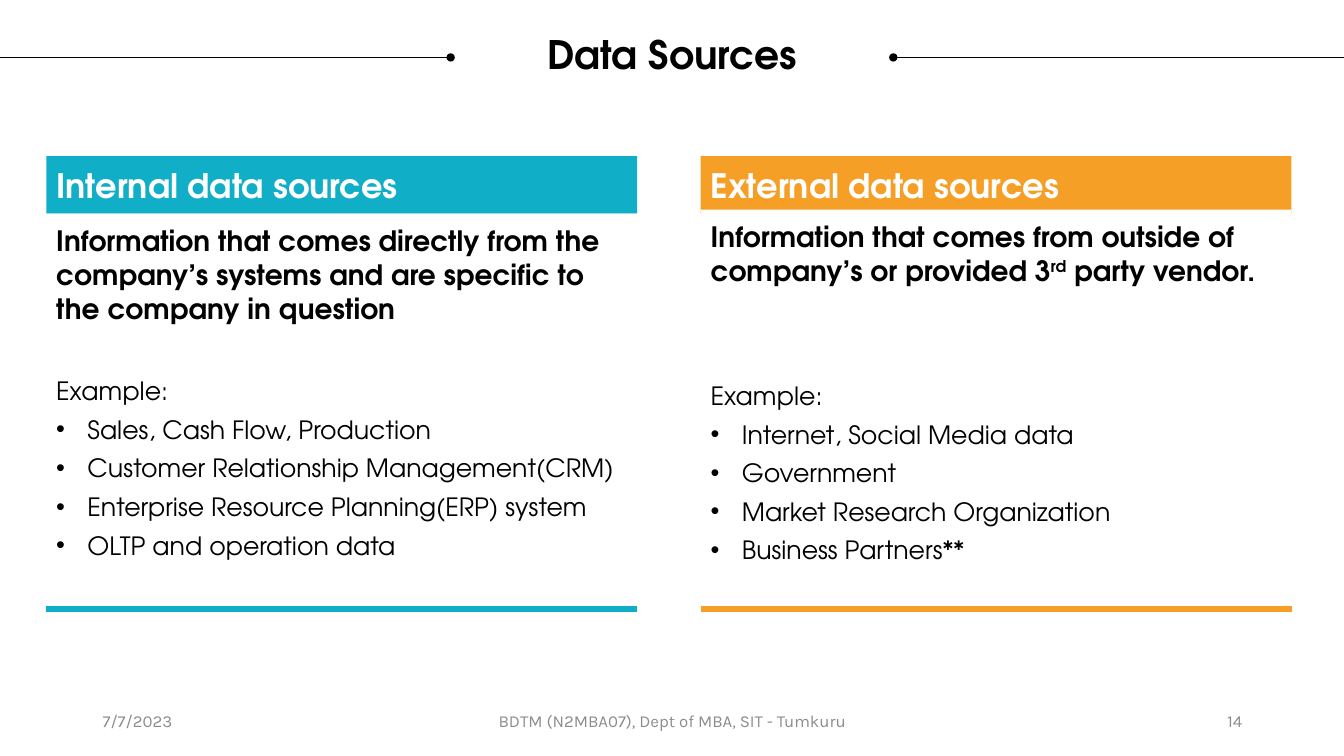
"""Build the Data Sources slide comparing internal and external sources."""
from dataclasses import dataclass

from lxml import etree
from pptx import Presentation
from pptx.dml.color import RGBColor
from pptx.enum.shapes import MSO_CONNECTOR, MSO_SHAPE
from pptx.enum.text import MSO_ANCHOR, PP_ALIGN
from pptx.oxml.ns import qn
from pptx.util import Inches, Pt

LEFT, CENTER, RIGHT = PP_ALIGN.LEFT, PP_ALIGN.CENTER, PP_ALIGN.RIGHT
TOP, MIDDLE = MSO_ANCHOR.TOP, MSO_ANCHOR.MIDDLE
RECTANGLE, STRAIGHT = MSO_SHAPE.RECTANGLE, MSO_CONNECTOR.STRAIGHT


@dataclass(frozen=True)
class Theme:
    font: str = "TeX Gyre Adventor"
    footer_font: str = "Karla"
    ink: str = "000000"
    paper: str = "FFFFFF"
    muted: str = "8C8C8C"
    internal: str = "11AEC7"
    external: str = "F59F26"
    title: int = 28
    heading: int = 24
    summary: int = 20
    example: int = 18
    footer: int = 12


theme = Theme()


def style(paragraph, size, color, bold=False, font=theme.font, align=LEFT):
    paragraph.alignment = align
    for run in paragraph.runs:
        run.font.name = font
        run.font.size = Pt(size)
        run.font.bold = bold
        run.font.color.rgb = RGBColor.from_string(color)


def add_rule(x1, x2, y, color, width):
    rule = slide.shapes.add_connector(STRAIGHT, Inches(x1), Inches(y), Inches(x2), Inches(y))
    rule.line.color.rgb = RGBColor.from_string(color)
    rule.line.width = Pt(width)
    etree.SubElement(rule._element.spPr, qn("a:effectLst"))
    return rule


prs = Presentation()
prs.slide_width, prs.slide_height = Inches(13.33), Inches(7.5)
slide = prs.slides.add_slide(prs.slide_layouts[6])

for x1, x2, dotted_end in [(8.86, 13.33, "a:headEnd"), (0, 4.47, "a:tailEnd")]:
    title_rule = add_rule(x1, x2, 0.57, theme.ink, 0.5)
    etree.SubElement(title_rule.line._get_or_add_ln(), qn(dotted_end), type="oval")

title = slide.shapes.add_textbox(Inches(0.25), Inches(0.35), Inches(12.83), Inches(0.42)).text_frame
title.word_wrap = True
title.margin_left = title.margin_right = title.margin_top = title.margin_bottom = 0
title.text = "Data Sources"
title.paragraphs[0].line_spacing = 0.9
style(title.paragraphs[0], theme.title, theme.ink, True, align=CENTER)

footers = [
    (0.92, 3, "7/7/2023", LEFT),
    (4.42, 4.5, "BDTM (N2MBA07), Dept of MBA, SIT - Tumkuru", CENTER),
    (9.42, 3, "14", RIGHT),
]
for x, width, wording, align in footers:
    footer = slide.shapes.add_textbox(Inches(x), Inches(6.95), Inches(width), Inches(0.4)).text_frame
    footer.word_wrap = True
    footer.vertical_anchor = MIDDLE
    footer.text = wording
    style(footer.paragraphs[0], theme.footer, theme.muted, font=theme.footer_font, align=align)

columns = [
    (0.46, 2.12, theme.internal, "Internal data sources",
     ["Information that comes directly from the company’s systems and are specific to "
      "the company in question"],
     36.3,
     ["Sales, Cash Flow, Production", "Customer Relationship Management(CRM)",
      "Enterprise Resource Planning(ERP) system", "OLTP and operation data"]),
    (6.95, 2.08, theme.external, "External data sources",
     ["Information that comes from outside of company’s or provided 3", "rd", " party vendor."],
     66.6,
     ["Internet, Social Media data", "Government", "Market Research Organization",
      "Business Partners**"]),
]
column_width = 5.86

for x, body_top, accent, heading, summary, example_gap, examples in columns:
    frames = []
    for y, height, fill, anchor in [(1.55, 0.57, accent, MIDDLE), (body_top, 3.92, theme.paper, TOP)]:
        panel = slide.shapes.add_shape(
            RECTANGLE, Inches(x), Inches(y), Inches(column_width), Inches(height))
        panel.shadow.inherit = False
        panel.fill.solid()
        panel.fill.fore_color.rgb = RGBColor.from_string(fill)
        panel.line.fill.background()
        frame = panel.text_frame
        frame.word_wrap = True
        frame.vertical_anchor = anchor
        frame.margin_left = frame.margin_right = Inches(0.1)
        frame.margin_top = frame.margin_bottom = Inches(0.1)
        frames.append(frame)
    header, body = frames

    header.text = heading
    style(header.paragraphs[0], theme.heading, theme.paper, True)

    definition = body.paragraphs[0]
    for part in summary:
        run = definition.add_run()
        run.text = part
        if part == "rd":
            run._r.get_or_add_rPr().set("baseline", "30000")
    style(definition, theme.summary, theme.ink, True)

    example_label = body.add_paragraph()
    example_label.text = "Example:"
    example_label.space_before = Pt(example_gap)
    style(example_label, theme.example, theme.ink)

    for example in examples:
        item = body.add_paragraph()
        item.text = example
        item.space_before = Pt(6)
        properties = item._p.get_or_add_pPr()
        properties.set("marL", str(Inches(0.31)))
        properties.set("indent", str(-Inches(0.31)))
        etree.SubElement(properties, qn("a:buFont"), typeface="Arial")
        etree.SubElement(properties, qn("a:buChar"), char="•")
        style(item, theme.example, theme.ink)

    add_rule(x, x + column_width, 6.04, accent, 4.5)

prs.save("out.pptx")
